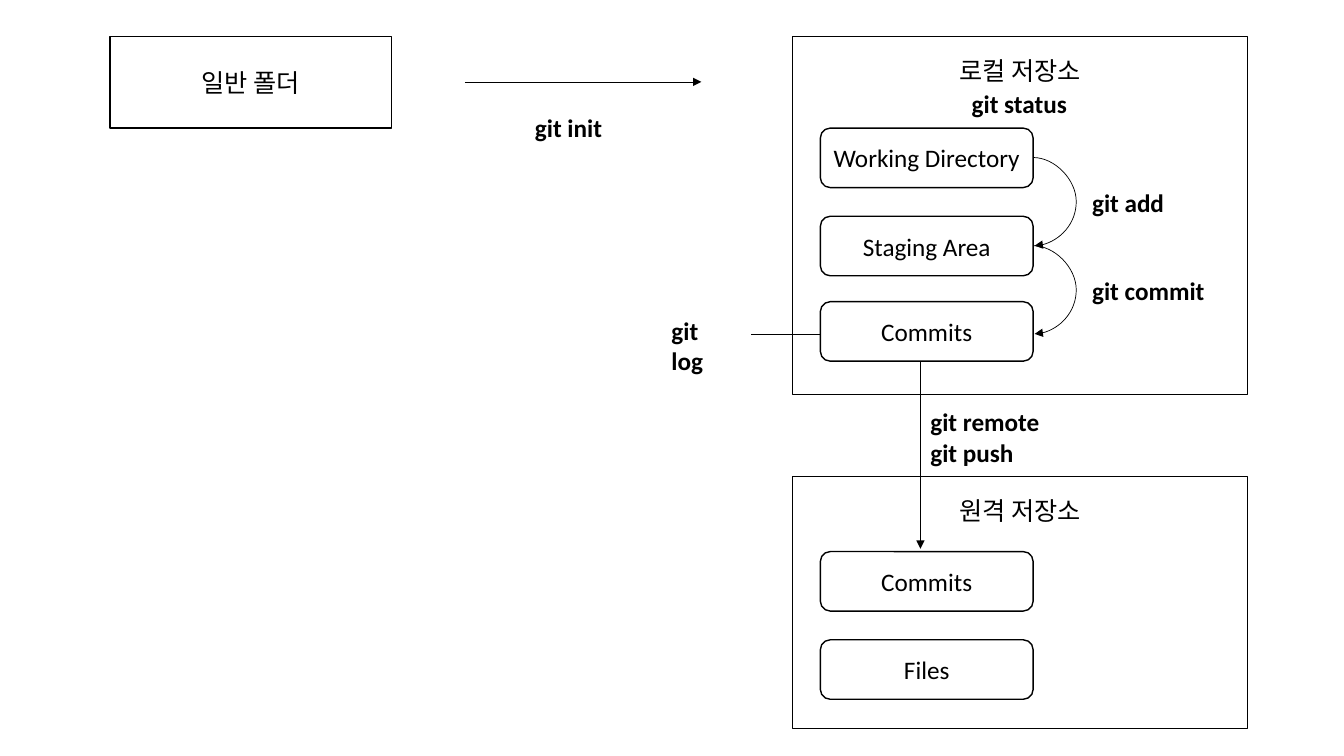
from lxml.etree import SubElement
from pptx import Presentation
from pptx.dml.color import RGBColor
from pptx.enum.shapes import MSO_CONNECTOR, MSO_SHAPE
from pptx.enum.text import MSO_ANCHOR, MSO_AUTO_SIZE, PP_ALIGN
from pptx.oxml.ns import qn
from pptx.util import Pt

HEX = {"ink": "000000", "paper": "FFFFFF"}
INK, PAPER = (RGBColor.from_string(HEX[name]) for name in ("ink", "paper"))

deck = Presentation()
deck.slide_width, deck.slide_height = Pt(960), Pt(540)
slide = deck.slides.add_slide(deck.slide_layouts[6])


def write(frame, text, bold=False, align=PP_ALIGN.LEFT):
    frame.text = text
    for line in frame.paragraphs:
        line.alignment = align
        line.font.name, line.font.size = "Calibri", Pt(18)
        line.font.bold = bold
        line.font.color.rgb = INK


def link(kind, start, end, arrow=True):
    line = slide.shapes.add_connector(kind, *map(Pt, start + end))
    line.line.color.rgb = INK
    line.line.width = Pt(0.5)
    if arrow:
        SubElement(line.line._get_or_add_ln(), qn("a:tailEnd"), type="triangle")
    SubElement(line._element.spPr, qn("a:effectLst"))
    return line


# Folder, repositories and the areas inside them
RECT, ROUND = MSO_SHAPE.RECTANGLE, MSO_SHAPE.ROUNDED_RECTANGLE
panels = [
    ("일반 폴더", 78.5, 26, 201, 65.5, MSO_ANCHOR.MIDDLE),
    ("로컬 저장소", 566, 26, 325, 256, MSO_ANCHOR.TOP),
    ("원격 저장소", 566, 340.5, 325, 180, MSO_ANCHOR.TOP),
]
areas = [
    ("Working Directory", 91.5),
    ("Staging Area", 154.5),
    ("Commits", 215.5),
    ("Commits", 394),
    ("Files", 457),
]
boxes = [(RECT, *panel) for panel in panels]
boxes += [(ROUND, name, 586, top, 152, 42.5, MSO_ANCHOR.MIDDLE) for name, top in areas]

for kind, name, left, top, width, height, anchor in boxes:
    box = slide.shapes.add_shape(kind, Pt(left), Pt(top), Pt(width), Pt(height))
    box.shadow.inherit = False
    box.fill.solid()
    box.fill.fore_color.rgb = PAPER
    box.line.color.rgb = INK
    box.line.width = Pt(1)
    frame = box.text_frame
    frame.word_wrap = True
    frame.vertical_anchor = anchor
    if anchor == MSO_ANCHOR.TOP:
        frame.margin_top = Pt(13.4)
    write(frame, name, align=PP_ALIGN.CENTER)

# Straight links: init, push, log
link(MSO_CONNECTOR.STRAIGHT, (332, 58.5), (501, 58.5))
link(MSO_CONNECTOR.STRAIGHT, (657.5, 258), (657.5, 392))
link(MSO_CONNECTOR.STRAIGHT, (536.5, 238.5), (586, 238.5), arrow=False)

# Curved links: add, commit; the bend is 31 times the 1 pt width
for top in (112.5, 175.5):
    curve = link(MSO_CONNECTOR.CURVE, (738, top), (739, top + 63))
    bend = curve._element.spPr.find(qn("a:prstGeom")).get_or_add_avLst()
    SubElement(bend, qn("a:gd"), name="adj1", fmla="val 3100000")

# Commands
commands = [
    ("git init", 375, 77, 63),
    ("git status", 687, 59.5, 83),
    ("git add", 773, 130, 66),
    ("git commit", 773, 193, 95),
    ("git log", 472.5, 221.5, 60),
    ("git remote\ngit push", 657.5, 287, 94),
]
for text, left, top, width in commands:
    height = 29 + 22 * text.count("\n")
    label = slide.shapes.add_textbox(Pt(left), Pt(top), Pt(width), Pt(height))
    label.text_frame.word_wrap = False
    label.text_frame.auto_size = MSO_AUTO_SIZE.SHAPE_TO_FIT_TEXT
    write(label.text_frame, text, bold=True)

deck.save("out.pptx")
